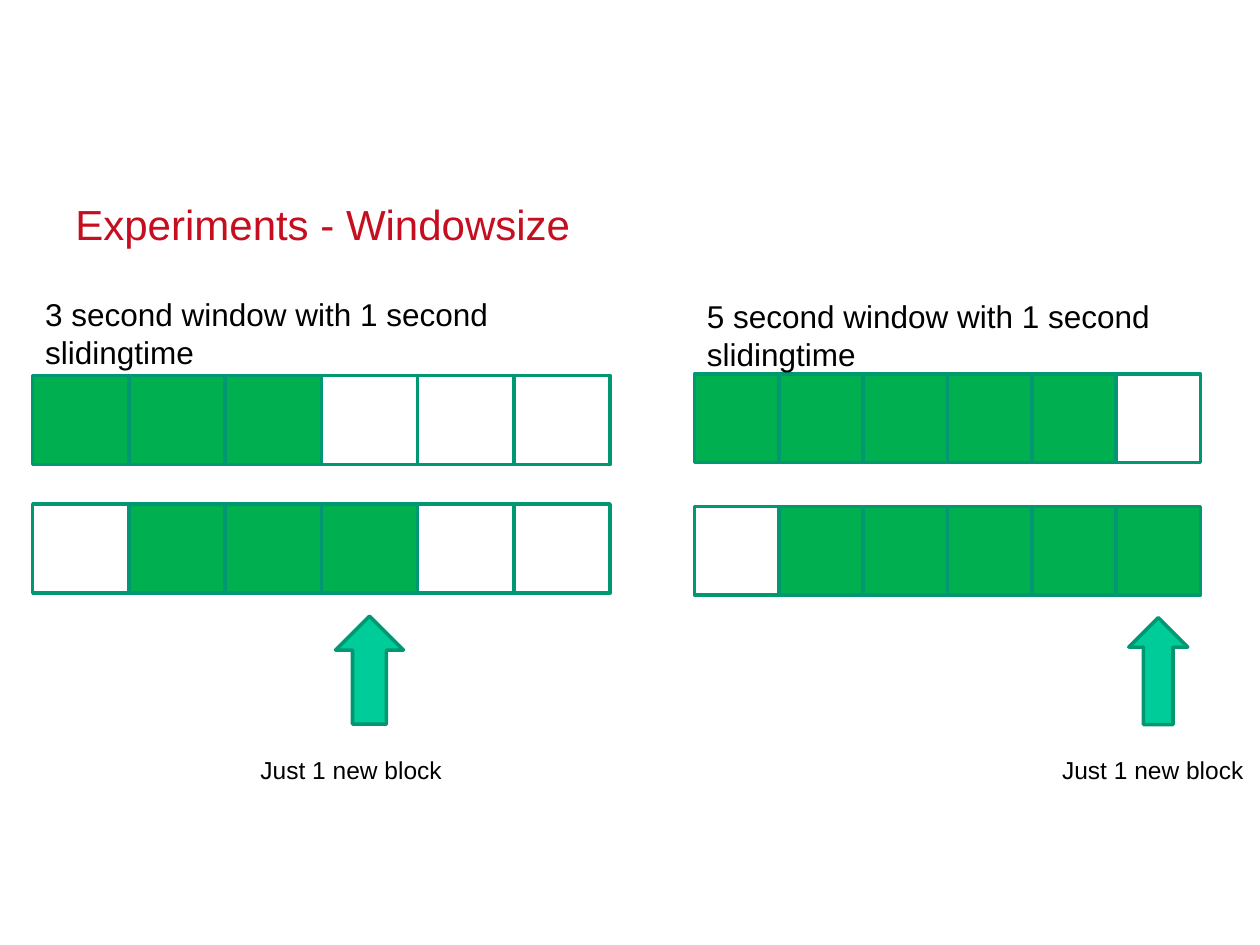
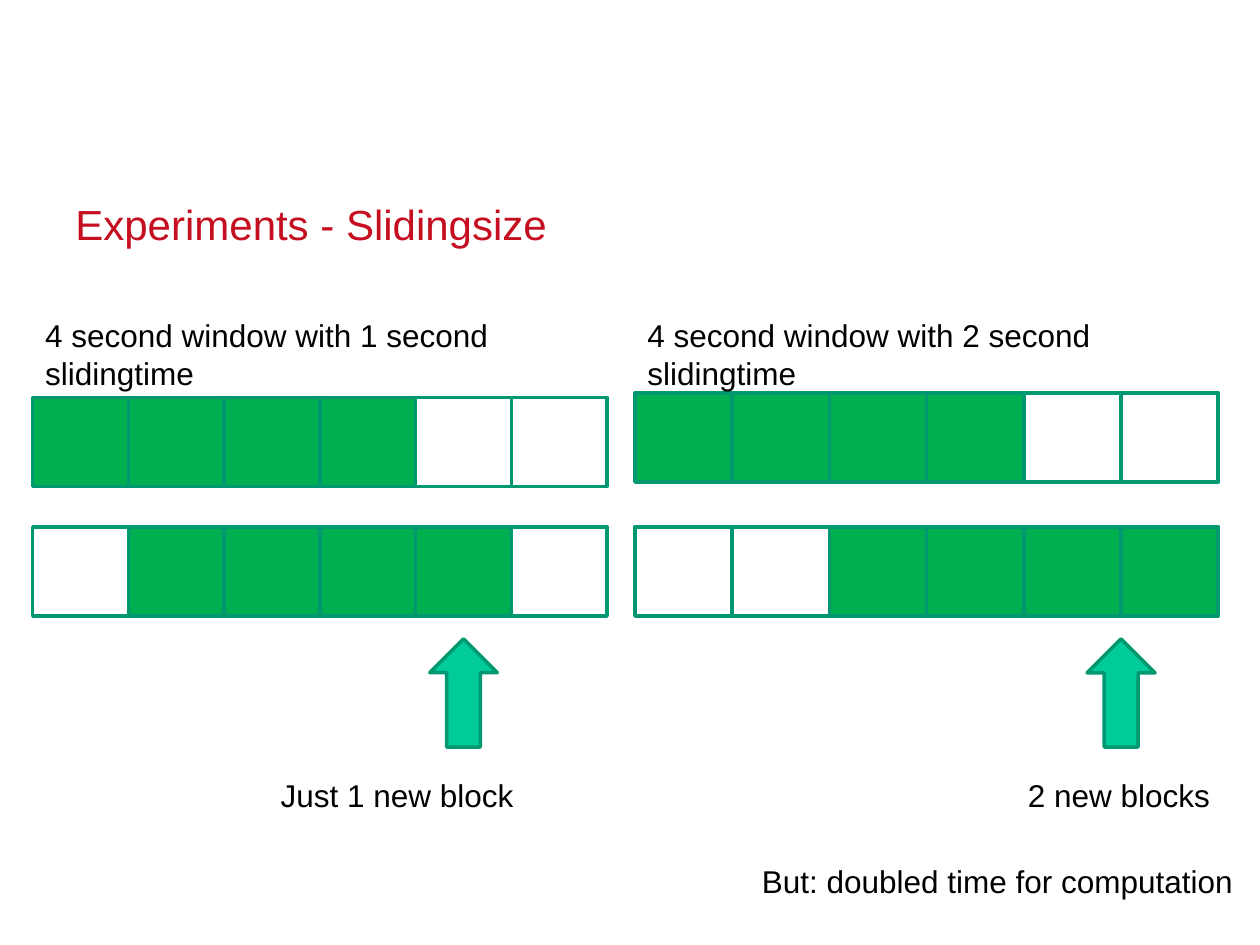
import pptx
import pptx.util
import pptx.dml.color
import pptx.enum.shapes
import pptx.enum.text
from dataclasses import dataclass

Cm = pptx.util.Cm
Pt = pptx.util.Pt
MSO_SHAPE = pptx.enum.shapes.MSO_SHAPE
ANCHOR = pptx.enum.text.MSO_ANCHOR
ALIGN = pptx.enum.text.PP_ALIGN


@dataclass(frozen=True)
class Theme:
    font: str = "Arial"
    title_color: str = "C50E1F"
    text_color: str = "000000"
    block_fill: str = "00B050"
    arrow_fill: str = "00CC99"
    outline: str = "009771"
    outline_width: float = 2
    title_size: int = 24
    body_size: int = 18
    small_size: int = 14


THEME = Theme()
BLOCKS = 6
TITLE_BOX = (1.52, 4.04, 22.4, 0.97)
HEADING_HEIGHT = 1.8
LABEL_HEIGHT = 1.02

SLIDES = [
    {
        "title": "Experiments - Windowsize",
        "label_size": THEME.small_size,
        "panels": [
            {"heading": "3 second window with 1 second slidingtime",
             "window": 3, "step": 1, "left": 0.66, "block": (1.94, 1.8),
             "rows": (7.57, 10.16), "heading_at": (5.82, 11.91),
             "arrow": (12.42, 1.37, 2.18),
             "labels": [("Just 1 new block", 5.0, 15.09, 4.85)]},
            {"heading": "5 second window with 1 second slidingtime",
             "window": 5, "step": 1, "left": 14.0, "block": (1.7, 1.79),
             "rows": (7.54, 10.21), "heading_at": (5.87, 10.41),
             "arrow": (12.45, 1.19, 2.16),
             "labels": [("Just 1 new block", 21.16, 15.09, 4.24)]},
        ],
    },
    {
        "title": "Experiments - Slidingsize",
        "label_size": THEME.body_size,
        "panels": [
            {"heading": "4 second window with 1 second slidingtime",
             "window": 4, "step": 1, "left": 0.66, "block": (1.93, 1.8),
             "rows": (8.01, 10.62), "heading_at": (6.25, 11.86),
             "arrow": (12.88, 1.36, 2.18),
             "labels": [("Just 1 new block", 5.41, 15.52, 6.38)]},
            {"heading": "4 second window with 2 second slidingtime",
             "window": 4, "step": 2, "left": 12.8, "block": (1.96, 1.8),
             "rows": (7.92, 10.62), "heading_at": (6.25, 12.04),
             "arrow": (12.88, 1.37, 2.18),
             "labels": [("2 new blocks", 20.47, 15.52, 4.9),
                        ("But: doubled time for computation", 15.11, 17.25, 11.15)]},
        ],
    },
]


def rgb(value):
    return pptx.dml.color.RGBColor.from_string(value)


def format_text(tf, size, color):
    tf.word_wrap = True
    for p in tf.paragraphs:
        p.alignment = ALIGN.LEFT
        for r in p.runs:
            r.font.name = THEME.font
            r.font.size = Pt(size)
            r.font.color.rgb = rgb(color)


def add_title(slide, text):
    sp = slide.shapes.title
    sp.left, sp.top, sp.width, sp.height = map(Cm, TITLE_BOX)
    tf = sp.text_frame
    tf.text = text
    tf.auto_size = pptx.enum.text.MSO_AUTO_SIZE.NONE
    tf.vertical_anchor = ANCHOR.BOTTOM
    tf.margin_left = tf.margin_right = tf.margin_top = tf.margin_bottom = 0
    tf.paragraphs[0].line_spacing = 1.21
    format_text(tf, THEME.title_size, THEME.title_color)


def add_text(shapes, text, box, size):
    tf = shapes.add_textbox(*map(Cm, box)).text_frame
    tf.text = text
    format_text(tf, size, THEME.text_color)


def add_outlined(shapes, kind, box, fill=None):
    sp = shapes.add_shape(kind, *map(Cm, box))
    sp.shadow.inherit = False
    if fill:
        sp.fill.solid()
        sp.fill.fore_color.rgb = rgb(fill)
    else:
        sp.fill.background()
    sp.line.color.rgb = rgb(THEME.outline)
    sp.line.width = Pt(THEME.outline_width)


def add_panel(slide, panel, label_size):
    shapes = slide.shapes.add_group_shape().shapes
    left, window, step = panel["left"], panel["window"], panel["step"]
    width, height = panel["block"]
    for start, top in zip((0, step), panel["rows"]):
        for i in range(BLOCKS):
            inside = start <= i < start + window
            add_outlined(shapes, MSO_SHAPE.RECTANGLE,
                         (left + i * width, top, width, height),
                         THEME.block_fill if inside else None)

    heading_top, heading_width = panel["heading_at"]
    add_text(shapes, panel["heading"],
             (left, heading_top, heading_width, HEADING_HEIGHT), THEME.body_size)

    arrow_top, arrow_width, arrow_height = panel["arrow"]
    new_blocks_center = left + (window + step / 2) * width
    add_outlined(shapes, MSO_SHAPE.UP_ARROW,
                 (new_blocks_center - arrow_width / 2, arrow_top, arrow_width, arrow_height),
                 THEME.arrow_fill)
    for text, x, y, label_width in panel["labels"]:
        add_text(shapes, text, (x, y, label_width, LABEL_HEIGHT), label_size)


prs = pptx.Presentation()
prs.slide_width, prs.slide_height = Cm(25.4), Cm(19.05)
for content in SLIDES:
    slide = prs.slides.add_slide(prs.slide_layouts[5])
    add_title(slide, content["title"])
    for panel in content["panels"]:
        add_panel(slide, panel, content["label_size"])
prs.save("out.pptx")
